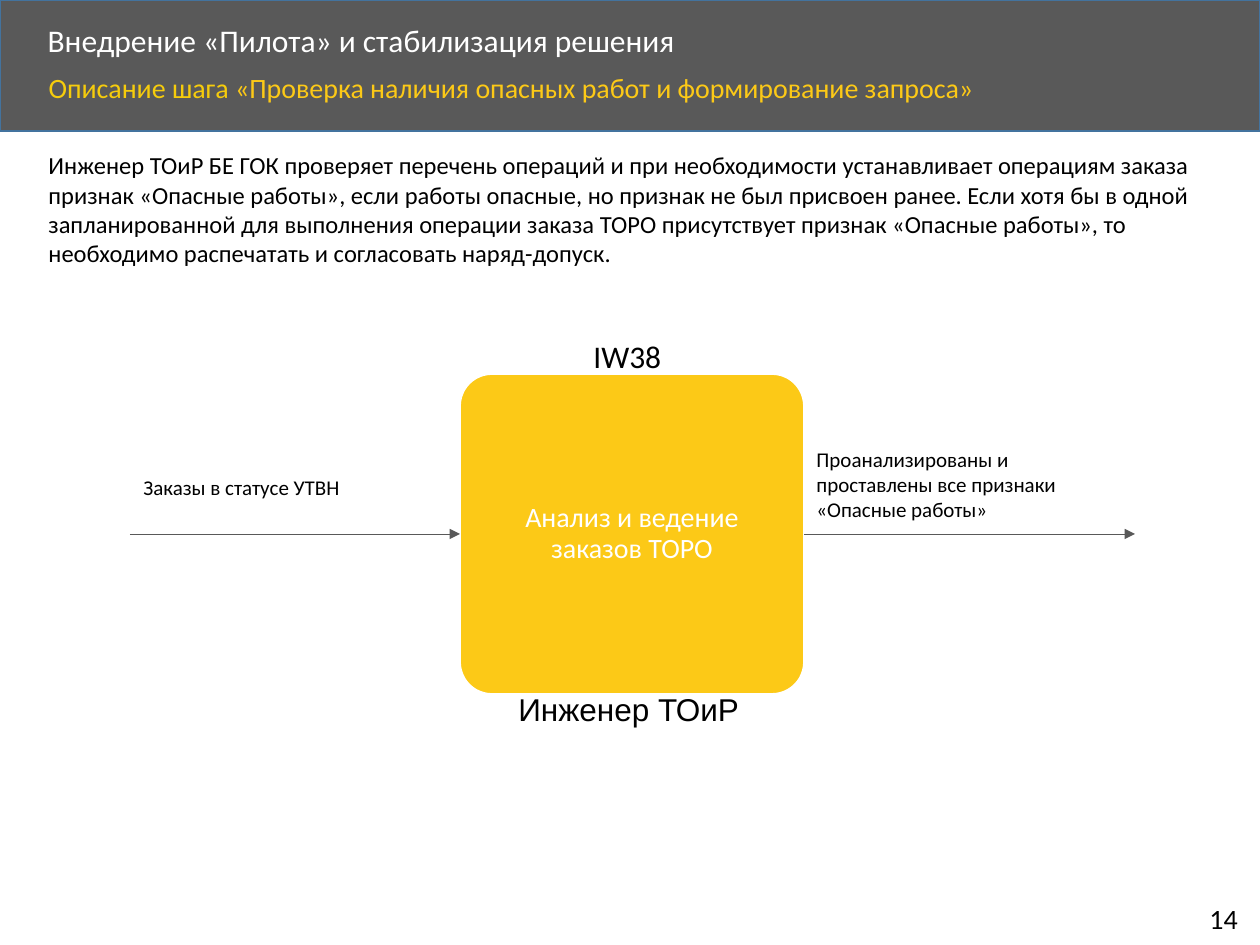
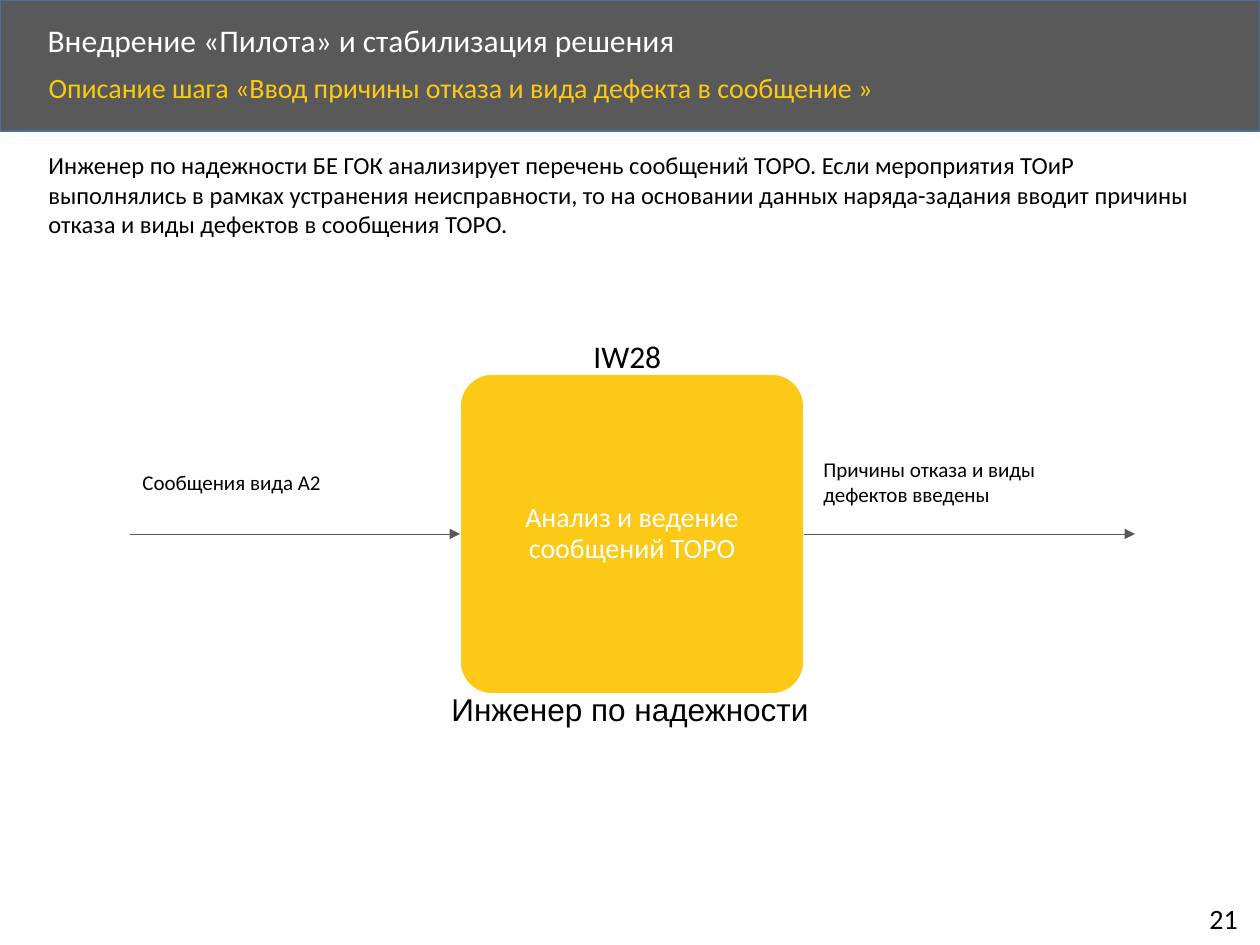
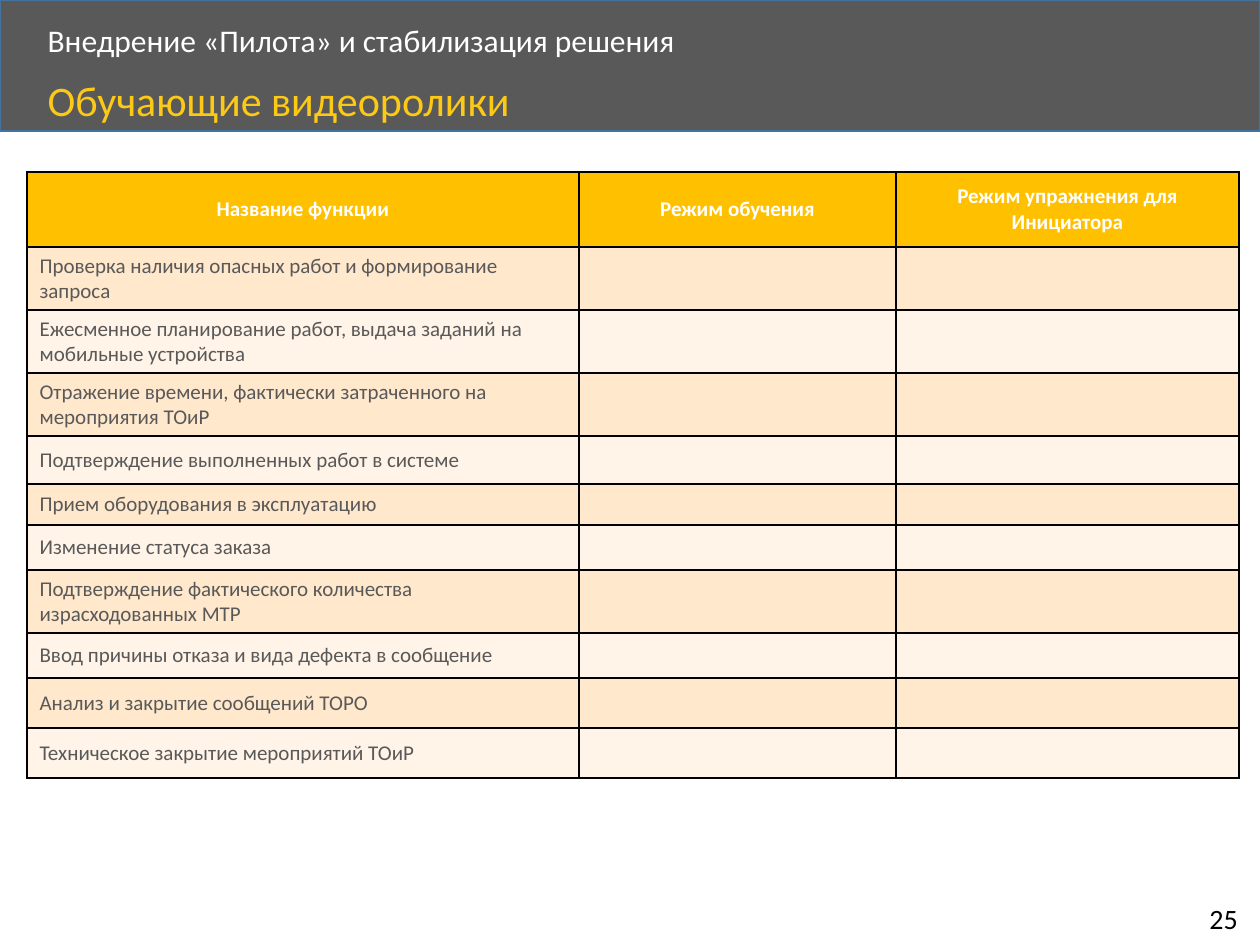
"""Build three slides on the pilot roll-out: two process steps and a table of training videos."""
from lxml import etree
from pptx import Presentation
from pptx.dml.color import RGBColor
from pptx.enum.shapes import MSO_CONNECTOR, MSO_SHAPE
from pptx.enum.text import MSO_ANCHOR, MSO_AUTO_SIZE, PP_ALIGN
from pptx.oxml.ns import qn
from pptx.util import Emu, Pt

RECT, ROUND = MSO_SHAPE.RECTANGLE, MSO_SHAPE.ROUNDED_RECTANGLE
STRAIGHT = MSO_CONNECTOR.STRAIGHT
LEFT, CENTER = PP_ALIGN.LEFT, PP_ALIGN.CENTER
TOP, MIDDLE = MSO_ANCHOR.TOP, MSO_ANCHOR.MIDDLE
FIT, FIXED = MSO_AUTO_SIZE.SHAPE_TO_FIT_TEXT, MSO_AUTO_SIZE.NONE

COLORS = {
    "black": "000000", "white": "FFFFFF", "gray": "595959", "blue": "43739E",
    "gold": "F6CC0C", "yellow": "FCC917", "head": "FFC000",
    "dark": "FFE8CC", "light": "FFF4E7",
}
HEADING = "Внедрение «Пилота» и стабилизация решения"
STEPS = [
    {
        "page": "14",
        "step": "«Проверка наличия опасных работ и формирование запроса»",
        "about": "Инженер ТОиР БЕ ГОК проверяет перечень операций и при необходимости "
                 "устанавливает операциям заказа признак «Опасные работы», если работы "
                 "опасные, но признак не был присвоен ранее. Если хотя бы в одной "
                 "запланированной для выполнения операции заказа ТОРО присутствует признак "
                 "«Опасные работы», то необходимо распечатать и согласовать наряд-допуск.",
        "about_h": 131,
        "code": "IW38",
        "task": "Анализ и ведение заказов ТОРО",
        "role": ("Инженер ТОиР", 252),
        "input": ("Заказы в статусе УТВН", (131, 468, 322, 38)),
        "output": ("Проанализированы и проставлены все признаки «Опасные работы»",
                   (804, 440, 324, 89)),
    },
    {
        "page": "21",
        "step": "«Ввод причины отказа и вида дефекта в сообщение »",
        "about": "Инженер по надежности БЕ ГОК анализирует перечень сообщений ТОРО. Если "
                 "мероприятия ТОиР выполнялись в рамках устранения неисправности, то на "
                 "основании данных наряда-задания вводит причины отказа и виды дефектов "
                 "в сообщения ТОРО.",
        "about_h": 102,
        "code": "IW28",
        "task": "Анализ и ведение сообщений ТОРО",
        "role": ("Инженер по надежности", 386),
        "input": ("Сообщения вида А2", (130, 463, 324, 38)),
        "output": ("Причины отказа и виды дефектов введены", (811, 450, 324, 63)),
    },
]
VIDEOS = {
    "page": "25",
    "title": "Обучающие видеоролики",
    "cols": [("Название функции", 552), ("Режим обучения", 317),
             ("Режим упражнения для Инициатора", 343)],
    "head_h": 75,
    "rows": [
        ("Проверка наличия опасных работ и формирование запроса", 44),
        ("Ежесменное планирование работ, выдача заданий на мобильные устройства", 47),
        ("Отражение времени, фактически затраченного на мероприятия ТОиР", 44),
        ("Подтверждение выполненных работ в системе", 48),
        ("Прием оборудования в эксплуатацию", 41),
        ("Изменение статуса заказа", 45),
        ("Подтверждение фактического количества израсходованных МТР", 45),
        ("Ввод причины отказа и вида дефекта в сообщение", 45),
        ("Анализ и закрытие сообщений ТОРО", 50),
        ("Техническое закрытие мероприятий ТОиР", 50),
    ],
}
CARD = (460, 374, 344, 320)
FLOW = (130, 1135)


def px(num):
    """Turn pixels into EMU."""
    return Emu(round(num * 914400 / 126))


def place(shape, box):
    """Move and size a shape."""
    shape.left, shape.top, shape.width, shape.height = map(px, box)


def tint(name):
    """Look up a colour."""
    return RGBColor.from_string(COLORS[name])


def write(frame, text, size=12, color="black", font="Calibri", bold=False,
          align=LEFT, anchor=TOP, lead=None, wrap=True, fit=FIXED):
    """Fill a frame with a string or with (string, colour) runs."""
    frame.word_wrap, frame.auto_size, frame.vertical_anchor = wrap, fit, anchor
    para = frame.paragraphs[0]
    para.alignment, para.space_before = align, Pt(0)
    if lead:
        para.line_spacing = lead
    for part, hue in [(text, color)] if isinstance(text, str) else text:
        run = para.add_run()
        run.text = part
        run.font.size, run.font.name, run.font.bold = Pt(size), font, bold
        run.font.color.rgb = tint(hue)


def label(slide, text, box, **form):
    """Add a text box that fits its text."""
    note = slide.shapes.add_textbox(*map(px, box))
    write(note.text_frame, text, fit=FIT, **form)


def block(slide, kind, box, fill, line):
    """Add a filled shape with a thin outline."""
    shape = slide.shapes.add_shape(kind, *map(px, box))
    shape.shadow.inherit = False
    shape.fill.solid()
    shape.fill.fore_color.rgb = tint(fill)
    shape.line.color.rgb = tint(line)
    shape.line.width = Pt(1)
    return shape


def arrow(slide, start, end, y):
    """Add a level arrow."""
    link = slide.shapes.add_connector(STRAIGHT, px(start), px(y), px(end), px(y))
    link.line.color.rgb = tint("gray")
    link.line.width = Pt(0.5)
    etree.SubElement(link.line._get_or_add_ln(), qn("a:tailEnd"), type="triangle")
    etree.SubElement(link._element.spPr, qn("a:effectLst"))
    return link


def base(deck, page, sub, box, size):
    """Add a slide with band, heading, subheading and page number."""
    slide = deck.slides.add_slide(deck.slide_layouts[1])
    band = block(slide, RECT, (0, 0, 1260, 131), "gray", "blue")
    slide.shapes._spTree.insert(2, band._element)
    title, body = slide.placeholders
    place(title, (35, 18, 1017, 48))
    write(title.text_frame, HEADING, size=18, color="white", anchor=MIDDLE, lead=0.9)
    place(body, box)
    props = body.text_frame.paragraphs[0]._p.get_or_add_pPr()
    props.set("marL", "0")
    props.set("indent", "0")
    etree.SubElement(props, qn("a:buNone"))
    write(body.text_frame, sub, size=size, color="yellow", lead=0.9)
    label(slide, page, (1197, 895, 58, 47), size=16, wrap=False)
    return slide


def draw_step(deck, data):
    """Draw one process step with its input and output."""
    sub = [("Описание шага ", "gold"), (data["step"], "yellow")]
    slide = base(deck, data["page"], sub, (36, 68, 1090, 57), 16)
    label(slide, data["about"], (36, 144, 1192, data["about_h"]), size=14)
    card = block(slide, ROUND, CARD, "yellow", "white")
    card.adjustments[0] = 0.1
    frame = card.text_frame
    frame.margin_left = frame.margin_right = px(9)
    write(frame, data["task"], size=16, color="white", align=CENTER, anchor=MIDDLE, lead=0.9)
    left, top, wide, high = CARD
    mid = top + high / 2
    arrow(slide, FLOW[0], left, mid).end_connect(card, 1)
    arrow(slide, left + wide, FLOW[1], mid).begin_connect(card, 3)
    label(slide, data["code"], (581, 331, 94, 50), size=18, wrap=False)
    role, span = data["role"]
    label(slide, role, (left + (wide - span) / 2, 684, span, 50), size=18, font="Arial")
    for key in ("input", "output"):
        label(slide, *data[key])


def style(cell, fill):
    """Give a cell black borders and a fill."""
    props = cell._tc.get_or_add_tcPr()
    for side in ("lnL", "lnR", "lnT", "lnB"):
        line = etree.SubElement(props, qn("a:" + side), w=str(Pt(1)))
        paint = etree.SubElement(line, qn("a:solidFill"))
        etree.SubElement(paint, qn("a:srgbClr"), val=COLORS["black"])
    cell.fill.solid()
    cell.fill.fore_color.rgb = tint(fill)
    cell.vertical_anchor = MIDDLE


def draw_videos(deck, data):
    """Draw the table of training videos."""
    slide = base(deck, data["page"], data["title"], (35, 74, 1092, 57), 24)
    names, spans = zip(*data["cols"])
    tasks, highs = zip(*data["rows"])
    highs = (data["head_h"], *highs)
    grid = [names] + [(task, "", "") for task in tasks]
    table = slide.shapes.add_table(len(grid), len(names), px(27), px(172),
                                   px(sum(spans)), px(sum(highs))).table
    for col, span in zip(table.columns, spans):
        col.width = px(span)
    for i, (texts, high) in enumerate(zip(grid, highs)):
        table.rows[i].height = px(high)
        fill = "head" if i == 0 else ("light", "dark")[i % 2]
        form = {"color": "white", "bold": True, "align": CENTER} if i == 0 else {"color": "gray"}
        for j, text in enumerate(texts):
            cell = table.cell(i, j)
            style(cell, fill)
            para = cell.text_frame.paragraphs[0]
            if text:
                run = para.add_run()
                run.text = text
                run.font.size, run.font.name = Pt(12), "Calibri"
                run.font.bold = form.get("bold", False)
                run.font.color.rgb = tint(form["color"])
                para.alignment = form.get("align", LEFT)
            else:
                etree.SubElement(para._p, qn("a:endParaRPr"), sz="1200")


def main():
    """Build and save the deck."""
    deck = Presentation()
    deck.slide_width, deck.slide_height = px(1260), px(945)
    for data in STEPS:
        draw_step(deck, data)
    draw_videos(deck, VIDEOS)
    deck.save("out.pptx")


if __name__ == "__main__":
    main()
